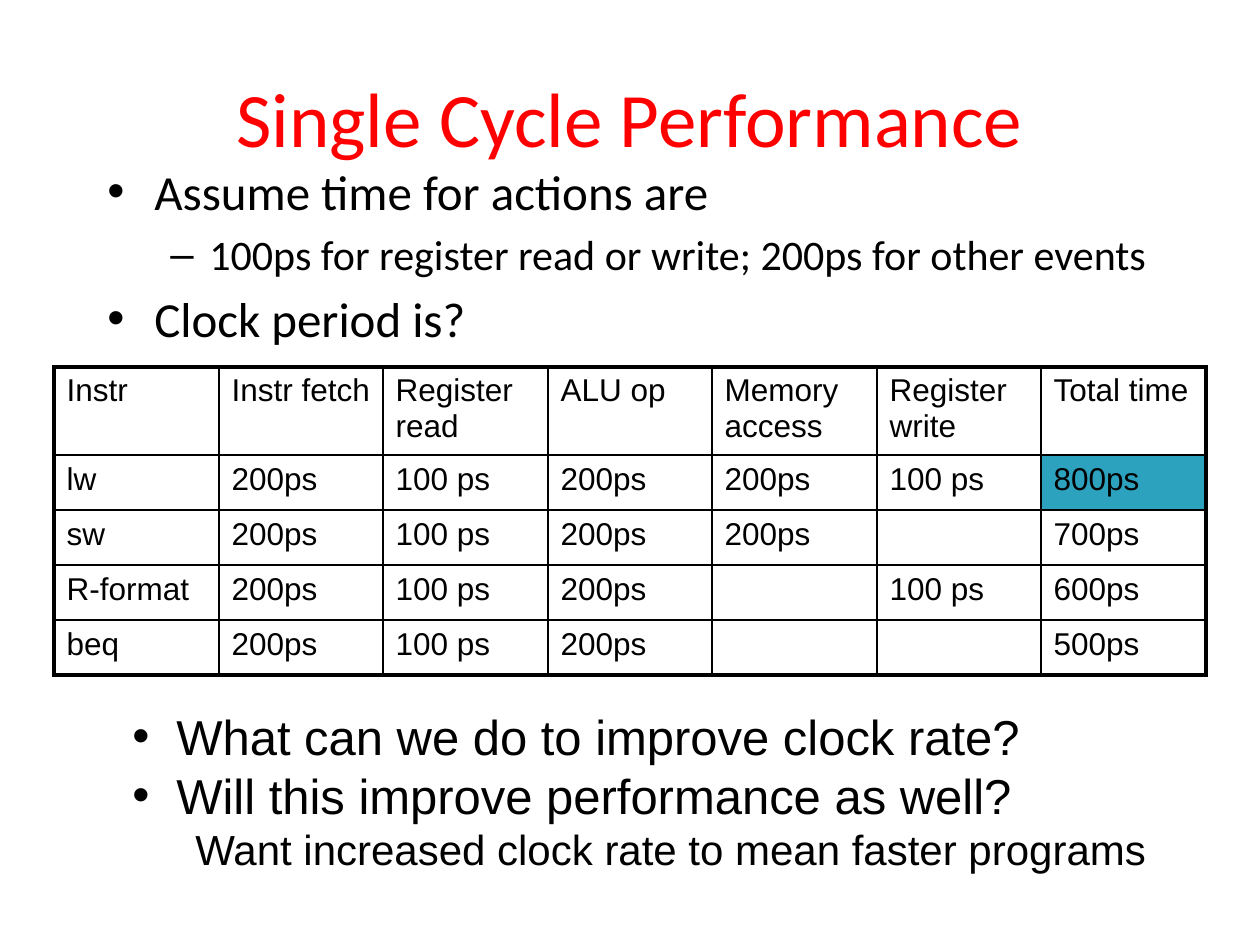
import pptx
import pptx.dml.color
import pptx.enum.text
import pptx.oxml.ns
import pptx.util
from lxml import etree

BLACK = pptx.dml.color.RGBColor(0, 0, 0)
RED = pptx.dml.color.RGBColor(255, 0, 0)
TEAL = pptx.dml.color.RGBColor(0x2D, 0xA2, 0xBF)

# Content: text, size, bullet, left margin px, first-line indent px
TITLE = "Single Cycle Performance"
ASSUMPTIONS = [
    ("Assume time for actions are", 28, "•", 47, -47),
    ("100ps for register read or write; 200ps for other events", 24, "–", 102, -39),
    ("Clock period is?", 28, "•", 47, -47),
]
QUESTIONS = [
    ("What can we do to improve clock rate?", 28, "•", 44, -44),
    ("Will this improve performance as well?", 28, "•", 44, -44),
    ("Want increased clock rate to mean faster programs", 24, None, 63, 0),
]
TIMES = [
    ["Instr", "Instr fetch", "Register read", "ALU op", "Memory access",
     "Register write", "Total time"],
    ["lw", "200ps", "100 ps", "200ps", "200ps", "100 ps", "800ps"],
    ["sw", "200ps", "100 ps", "200ps", "200ps", "", "700ps"],
    ["R-format", "200ps", "100 ps", "200ps", "", "100 ps", "600ps"],
    ["beq", "200ps", "100 ps", "200ps", "", "", "500ps"],
]
HIGHLIGHT = "800ps"
COLUMN_WIDTHS = [165, 164, 165, 164, 165, 164, 165]
ROW_HEIGHTS = [83, 55, 55, 55, 55]
OUTER, HEADER_RULE, INNER = 2.25, 1.5, 1


def px(length):
    return pptx.util.Emu(length * 914400 // 126)


def add_child(parent, tag, **attributes):
    return etree.SubElement(parent, pptx.oxml.ns.qn(tag), attributes)


def add_run(paragraph, text, size, font, color=BLACK):
    run = paragraph.add_run()
    run.text = text
    run.font.size = pptx.util.Pt(size)
    run.font.name = font
    run.font.color.rgb = color


def space_before(paragraph):
    spacing = add_child(paragraph._p.get_or_add_pPr(), "a:spcBef")
    add_child(spacing, "a:spcPct", val="20000")


def add_text_frame(slide, left, top, width, height):
    box = slide.shapes.add_textbox(px(left), px(top), px(width), px(height))
    box.text_frame.word_wrap = True
    return box.text_frame


def add_list(frame, items, font, spaced):
    for index, (text, size, bullet, margin, indent) in enumerate(items):
        paragraph = frame.add_paragraph() if index else frame.paragraphs[0]
        properties = paragraph._p.get_or_add_pPr()
        properties.set("marL", str(px(margin)))
        properties.set("indent", str(px(indent)))
        if spaced:
            space_before(paragraph)
        if bullet:
            add_child(properties, "a:buFont", typeface="Arial")
            add_child(properties, "a:buChar", char=bullet)
        add_run(paragraph, text, size, font)


def set_borders(cell, row, column):
    last_row, last_column = len(TIMES) - 1, len(COLUMN_WIDTHS) - 1
    widths = {
        "a:lnL": OUTER if column == 0 else INNER,
        "a:lnR": OUTER if column == last_column else INNER,
        "a:lnT": {0: OUTER, 1: HEADER_RULE}.get(row, INNER),
        "a:lnB": {0: HEADER_RULE, last_row: OUTER}.get(row, INNER),
    }
    properties = cell._tc.get_or_add_tcPr()
    for tag, width in widths.items():
        line = add_child(properties, tag, w=str(pptx.util.Pt(width)))
        add_child(add_child(line, "a:solidFill"), "a:srgbClr", val=str(BLACK))


def add_times_table(slide):
    table = slide.shapes.add_table(
        len(TIMES), len(COLUMN_WIDTHS), px(54), px(367),
        px(sum(COLUMN_WIDTHS)), px(sum(ROW_HEIGHTS))).table
    table.first_row = table.horz_banding = False
    for column, width in zip(table.columns, COLUMN_WIDTHS):
        column.width = px(width)
    for row, height in zip(table.rows, ROW_HEIGHTS):
        row.height = px(height)
    for row, texts in enumerate(TIMES):
        for column, text in enumerate(texts):
            cell = table.cell(row, column)
            set_borders(cell, row, column)
            if text == HIGHLIGHT:
                cell.fill.solid()
                cell.fill.fore_color.rgb = TEAL
            else:
                cell.fill.background()
            if text:
                paragraph = cell.text_frame.paragraphs[0]
                space_before(paragraph)
                add_run(paragraph, text, 18, "Arial")


def main():
    presentation = pptx.Presentation()
    presentation.slide_width, presentation.slide_height = px(1260), px(945)
    slide = presentation.slides.add_slide(presentation.slide_layouts[6])

    # Title
    frame = add_text_frame(slide, 63, 38, 1134, 157)
    frame.vertical_anchor = pptx.enum.text.MSO_ANCHOR.MIDDLE
    frame.paragraphs[0].alignment = pptx.enum.text.PP_ALIGN.CENTER
    add_run(frame.paragraphs[0], TITLE, 44, "Calibri", RED)

    # Assumptions, timing table, closing questions
    add_list(add_text_frame(slide, 95, 155, 1140, 246), ASSUMPTIONS, "Calibri", True)
    add_times_table(slide)
    add_list(add_text_frame(slide, 120, 700, 1140, 245), QUESTIONS, "Arial", False)

    presentation.save("out.pptx")


if __name__ == "__main__":
    main()
